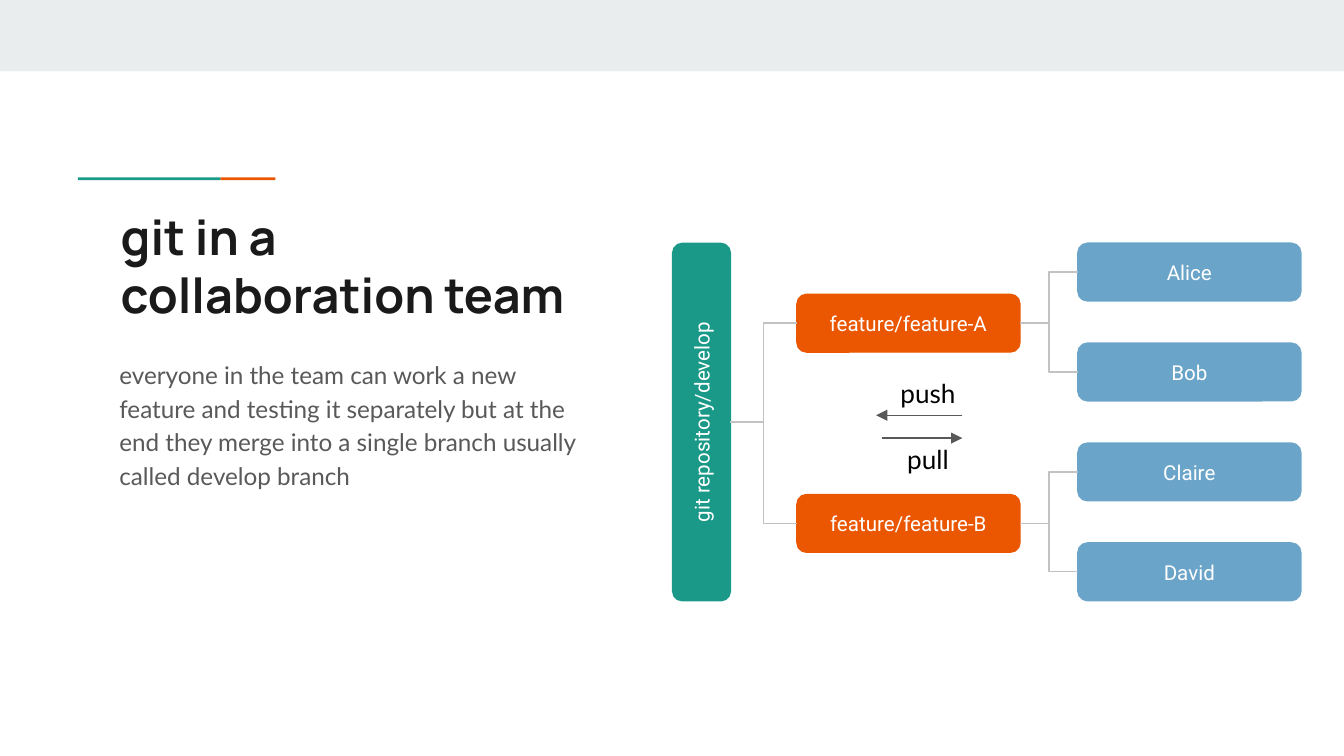
from lxml import etree
from pptx import Presentation
from pptx import util as u
from pptx.dml.color import RGBColor
from pptx.enum import shapes, text
from pptx.oxml.ns import qn

GREEN = RGBColor(0x1A, 0x99, 0x88)
ORANGE = RGBColor(0xEB, 0x56, 0x00)
BLUE = RGBColor(0x6A, 0xA4, 0xC8)
BAND = RGBColor(0xE9, 0xED, 0xEE)
LINK = RGBColor(0xC2, 0xC2, 0xC2)
GREY = RGBColor(0x59, 0x59, 0x59)
INK = RGBColor(0x1A, 0x1A, 0x1A)
BLACK = RGBColor(0, 0, 0)
WHITE = RGBColor(0xFF, 0xFF, 0xFF)

# Content
TITLE = "git in a collaboration team"
BODY = ("everyone in the team can work a new feature and testing it separately "
        "but at the end they merge into a single branch usually called develop branch")
REPOSITORY = "git repository/develop"
BRANCHES = [
    ("feature/feature-A", ["Alice", "Bob"]),
    ("feature/feature-B", ["Claire", "David"]),
]
ACTIONS = [  # label, label top, arrow start x, arrow end x, arrow y
    ("push", 2.71, 7.16, 6.52, 3.09),
    ("pull", 3.2, 6.56, 7.16, 3.26),
]

# Text formats
TITLE_FONT = {"name": "Manrope", "size": u.Pt(26), "bold": True}
BODY_FONT = {"name": "Lato", "size": u.Pt(13)}
NODE_FONT = {"name": "Roboto", "size": u.Pt(11)}
ACTION_FONT = {"name": "Lato", "size": u.Pt(14)}

# Diagram grid
NODE_W, NODE_H = 1.66, 0.43
ROOT_LENGTH, ROOT_X, ROOT_Y = 2.66, 5.22, 3.14
BRANCH_LEFT, BRANCH_TOP, BRANCH_STEP = 5.93, 2.19, 1.49
MEMBER_LEFT, MEMBER_TOP, MEMBER_STEP = 8.02, 1.81, 2.23 / 3

# Widescreen slide, 16:9
prs = Presentation()
prs.slide_width = u.Inches(10)
prs.slide_height = u.Inches(10 * 9 / 16)
slide = prs.slides.add_slide(prs.slide_layouts[6])


def write(shape, words, font, color, align=text.PP_ALIGN.LEFT,
          anchor=text.MSO_ANCHOR.TOP):
    frame = shape.text_frame
    frame.word_wrap = True
    frame.vertical_anchor = anchor
    for side in ("left", "top", "right", "bottom"):
        setattr(frame, f"margin_{side}", u.Inches(0.1))
    paragraph = frame.paragraphs[0]
    paragraph.alignment = align
    run = paragraph.add_run()
    run.text = words
    for key, value in font.items():
        setattr(run.font, key, value)
    run.font.color.rgb = color
    return paragraph


def add_text(box, *style):
    return write(slide.shapes.add_textbox(*map(u.Inches, box)), *style)


def add_block(kind, box, color):
    block = slide.shapes.add_shape(kind, *map(u.Inches, box))
    block.shadow.inherit = False
    block.fill.solid()
    block.fill.fore_color.rgb = color
    block.line.fill.background()
    return block


def add_node(words, left, top, color, width=NODE_W):
    node = add_block(shapes.MSO_SHAPE.ROUNDED_RECTANGLE,
                     (left, top, width, NODE_H), color)
    node.line.color.rgb = color
    node.line.width = u.Pt(0.75)
    write(node, words, NODE_FONT, WHITE, text.PP_ALIGN.CENTER,
          text.MSO_ANCHOR.MIDDLE)
    return node


def add_line(kind, start, end, color):
    line = slide.shapes.add_connector(kind, *map(u.Inches, (*start, *end)))
    line.line.color.rgb = color
    line.line.width = u.Pt(0.75)
    etree.SubElement(line._element.spPr, qn("a:effectLst"))
    return line


# Top band and two-colour accent rule
RECT = shapes.MSO_SHAPE.RECTANGLE
add_block(RECT, (0, 0, 10, 0.53), BAND)
add_block(RECT, (1.64, 1.32, 0.41, 0.02), ORANGE)
add_block(RECT, (0.58, 1.32, 1.06, 0.02), GREEN)

# Title and body
add_text((0.8, 1.44, 3.61, 1.1), TITLE, TITLE_FONT, INK)
body = add_text((0.79, 2.55, 3.61, 2.24), BODY, BODY_FONT, GREY)
body.line_spacing = 1.15
body.space_after = u.Pt(16)

# Repository, turned to read upwards
repository = add_node(REPOSITORY, ROOT_X - ROOT_LENGTH / 2, ROOT_Y - NODE_H / 2,
                      GREEN, ROOT_LENGTH)
repository.rotation = 270

# Branches, their members and the elbows between them
ELBOW = shapes.MSO_CONNECTOR.ELBOW
for b, (branch_name, members) in enumerate(BRANCHES):
    branch_top = BRANCH_TOP + b * BRANCH_STEP
    branch_y = branch_top + NODE_H / 2
    branch = add_node(branch_name, BRANCH_LEFT, branch_top, ORANGE)
    trunk = add_line(ELBOW, (ROOT_X + NODE_H / 2, ROOT_Y),
                     (BRANCH_LEFT, branch_y), LINK)
    trunk.end_connect(branch, 1)
    for m, member_name in enumerate(members, b * len(members)):
        member_top = MEMBER_TOP + m * MEMBER_STEP
        member = add_node(member_name, MEMBER_LEFT, member_top, BLUE)
        twig = add_line(ELBOW, (BRANCH_LEFT + NODE_W, branch_y),
                        (MEMBER_LEFT, member_top + NODE_H / 2), LINK)
        twig.begin_connect(branch, 3)
        twig.end_connect(member, 1)

# Push and pull arrows with labels
for label, label_top, start_x, end_x, y in ACTIONS:
    arrow = add_line(shapes.MSO_CONNECTOR.STRAIGHT, (start_x, y), (end_x, y), GREY)
    outline = arrow._element.spPr.find(qn("a:ln"))
    etree.SubElement(outline, qn("a:tailEnd"), type="triangle")
    add_text((6.41, label_top, 0.99, 0.46), label, ACTION_FONT, BLACK,
             text.PP_ALIGN.CENTER)

prs.save("out.pptx")
